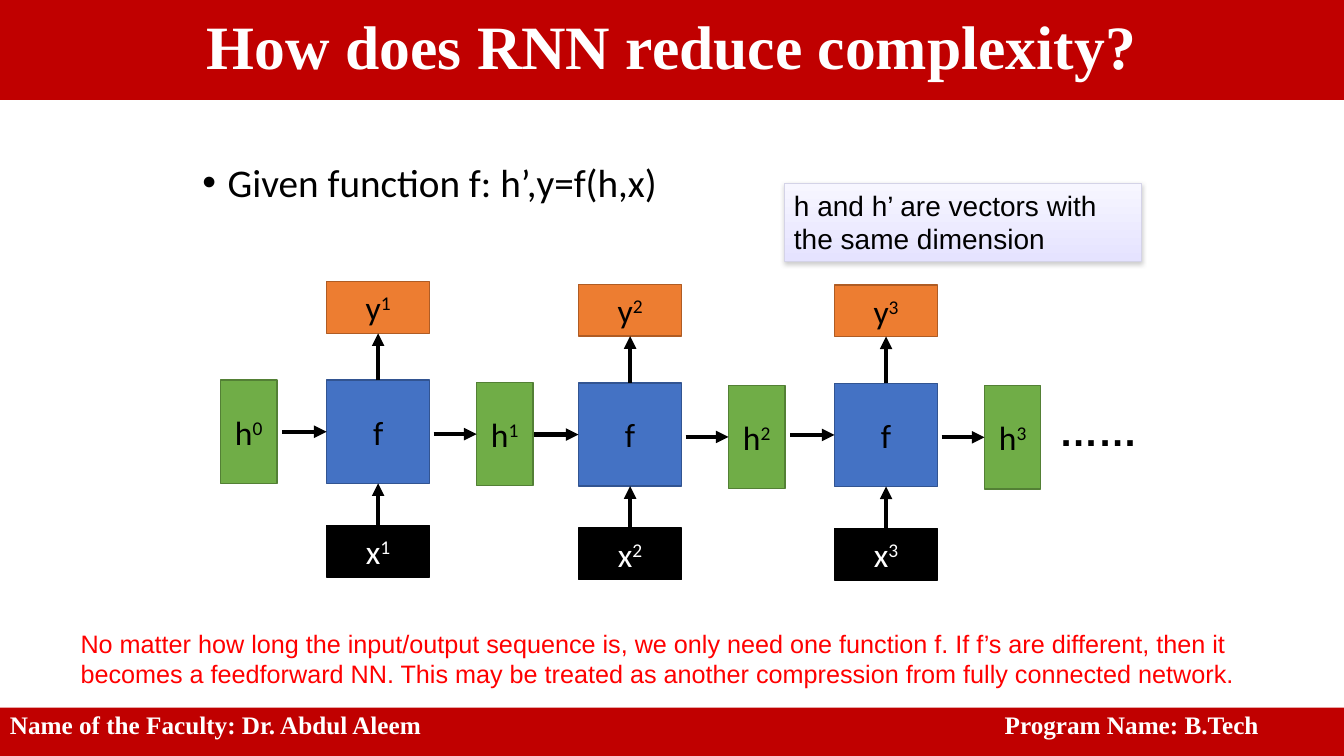
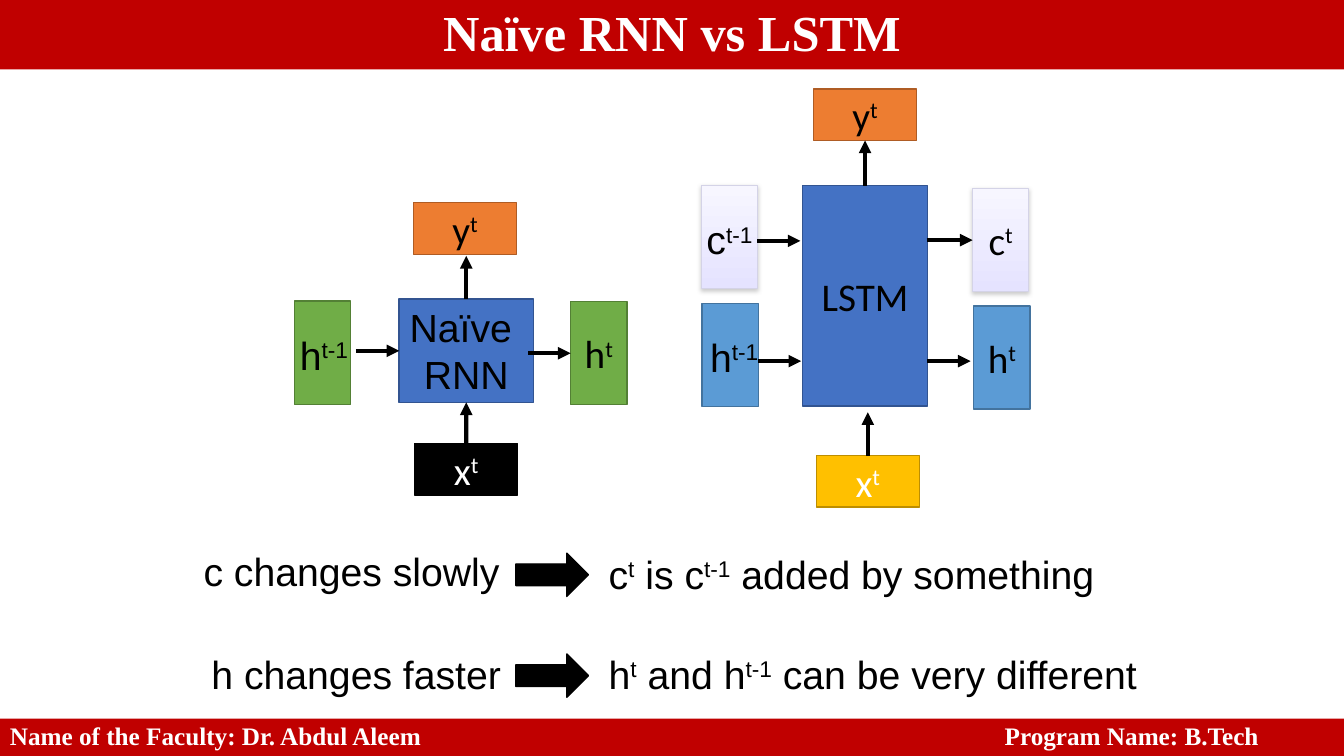
import pptx
import pptx.dml.color
import pptx.enum.shapes
import pptx.enum.text
import pptx.oxml
import pptx.oxml.ns
import pptx.util

Cm = pptx.util.Cm
Pt = pptx.util.Pt
RGB = pptx.dml.color.RGBColor
Align = pptx.enum.text.PP_ALIGN
Anchor = pptx.enum.text.MSO_ANCHOR
Shape = pptx.enum.shapes.MSO_SHAPE

# Colours
BLACK = RGB(0x00, 0x00, 0x00)
WHITE = RGB(0xFF, 0xFF, 0xFF)
BAND = RGB(0xC0, 0x00, 0x00)
RED = RGB(0xFF, 0x00, 0x00)
PALE = RGB(0xF7, 0xF6, 0xFF)
LILAC = RGB(0xE5, 0xE3, 0xFF)
EDGE = RGB(0xD4, 0xD3, 0xE7)

# Box styles: fill, border
BLUE = (RGB(0x44, 0x72, 0xC4), RGB(0x32, 0x54, 0x91))
GREEN = (RGB(0x70, 0xAD, 0x47), RGB(0x53, 0x80, 0x35))
ORANGE = (RGB(0xED, 0x7D, 0x31), RGB(0xAF, 0x5C, 0x24))
GOLD = (RGB(0xFF, 0xC0, 0x00), RGB(0xBD, 0x8E, 0x00))
SKY = (RGB(0x5B, 0x9B, 0xD5), RGB(0x43, 0x73, 0x9E))
DARK = (BLACK, BLACK)

# Connection sites
TOP, LEFT, FOOT, RIGHT = range(4)

# Sizes in centimetres
WIDE, HIGH = 33.87, 19.05
SIDE = 2.6    # square cell, and height of a state box
SLIM = 1.42   # width of a state box
FLAT = 1.3    # height of an input or output box
MID = SIDE / 2


def node(tag, **attrs):
    item = pptx.oxml.parse_xml(
        "<a:%s %s/>" % (tag, pptx.oxml.ns.nsdecls("a")))
    for name, value in attrs.items():
        item.set(name, str(value))
    return item


class Deck:
    def __init__(self):
        self.prs = pptx.Presentation()
        self.prs.slide_width = Cm(WIDE)
        self.prs.slide_height = Cm(HIGH)
        self.slide = None

    def start(self, title, size, head, foot):
        """Add a slide with its title band and footer band (band heights)."""
        self.slide = self.prs.slides.add_slide(self.prs.slide_layouts[5])
        bar = self.slide.shapes.title
        bar.left, bar.top, bar.width, bar.height = 0, 0, Cm(WIDE), Cm(head)
        bar.fill.solid()
        bar.fill.fore_color.rgb = BAND
        self.label(bar, title, size, "Times New Roman", WHITE, True,
                   Align.CENTER, Anchor.MIDDLE, 0.9)
        bar = self.shape(Shape.RECTANGLE, 0, HIGH - foot, WIDE, foot,
                         (BAND, None))
        stops = node("tabLst")
        stops.append(node("tab", pos=Cm(25.07), algn="l"))
        bar.text_frame.paragraphs[0]._p.get_or_add_pPr().append(stops)
        self.label(bar, "Name of the Faculty: Dr. Abdul Aleem\t"
                   "Program Name: B.Tech", 18, "Times New Roman", WHITE,
                   True, space=0.9)

    def label(self, shape, text, size, font, colour=BLACK, bold=False,
              align=Align.LEFT, anchor=Anchor.TOP, space=None, wrap=True):
        """Fill a shape with text; ^ switches superscript on and off."""
        frame = shape.text_frame
        frame.auto_size = pptx.enum.text.MSO_AUTO_SIZE.NONE
        frame.word_wrap = wrap
        frame.vertical_anchor = anchor
        for row, line in enumerate(text.split("\n")):
            para = frame.add_paragraph() if row else frame.paragraphs[0]
            para.alignment = align
            if space:
                para.line_spacing = space
            for part, words in enumerate(line.split("^")):
                if not words:
                    continue
                run = para.add_run()
                run.text = words
                run.font.size = Pt(size)
                run.font.name = font
                run.font.bold = bold
                run.font.color.rgb = colour
                if part % 2:
                    run._r.get_or_add_rPr().set("baseline", "30000")

    def shape(self, kind, x, y, w, h, style):
        item = self.slide.shapes.add_shape(kind, Cm(x), Cm(y), Cm(w), Cm(h))
        item.shadow.inherit = False
        fill, edge = style
        item.fill.solid()
        item.fill.fore_color.rgb = fill
        if edge is None:
            item.line.fill.background()
        else:
            item.line.color.rgb = edge
            item.line.width = Pt(1)
        return item

    def box(self, x, y, w, h, style, text="", size=28, font="Calibri",
            colour=BLACK):
        item = self.shape(Shape.RECTANGLE, x, y, w, h, style)
        if text:
            self.label(item, text, size, font, colour, False,
                       Align.CENTER, Anchor.MIDDLE)
        return item

    def card(self, x, y, w, h, text=""):
        """A pale gradient box with a soft shadow."""
        item = self.box(x, y, w, h, (PALE, EDGE), text)
        item.line.width = Pt(0.75)
        item.fill.gradient()
        item.fill.gradient_angle = 270
        for stop, tone, place in zip(item.fill.gradient_stops,
                                     (PALE, LILAC), (0, 1)):
            stop.color.rgb = tone
            stop.position = place
        shade = node("outerShdw", blurRad=Pt(3.1), dist=Pt(1.6),
                     dir=5400000, algn="t", rotWithShape=0)
        tone = node("srgbClr", val="808080")
        tone.append(node("alpha", val=38000))
        shade.append(tone)
        item._element.spPr.find(pptx.oxml.ns.qn("a:effectLst")).append(shade)
        return item

    def note(self, x, y, w, h, text, size=28, font="Arial", **look):
        item = self.slide.shapes.add_textbox(Cm(x), Cm(y), Cm(w), Cm(h))
        self.label(item, text, size, font, **look)
        return item

    def bullet(self, x, y, w, h, text):
        item = self.note(x, y, w, h, text, font="Calibri", space=0.9)
        props = item.text_frame.paragraphs[0]._p.get_or_add_pPr()
        props.set("marL", str(Cm(0.64)))
        props.set("indent", str(-Cm(0.64)))
        props.append(node("buFont", typeface="Arial"))
        props.append(node("buChar", char="•"))

    def arrow(self, tail, tip):
        """Each end is a point (x, y) or a joint (shape, site)."""
        line = self.slide.shapes.add_connector(
            pptx.enum.shapes.MSO_CONNECTOR.STRAIGHT, 0, 0, 0, 0)
        if isinstance(tail[0], (int, float)):
            line.begin_x, line.begin_y = Cm(tail[0]), Cm(tail[1])
        else:
            line.begin_connect(*tail)
        if isinstance(tip[0], (int, float)):
            line.end_x, line.end_y = Cm(tip[0]), Cm(tip[1])
        else:
            line.end_connect(*tip)
        line.line.color.rgb = BLACK
        line.line.width = Pt(3)
        line.line._get_or_add_ln().append(node("tailEnd", type="triangle"))
        line._element.spPr.append(node("effectLst"))


def chain(deck):
    deck.start("How does RNN reduce complexity?", 44, 2.52, 1.22)
    deck.bullet(4.85, 3.99, 13, 1.4, "Given function f: h’,y=f(h,x)")
    memo = deck.card(19.76, 4.62, 9.02, 1.96)
    deck.label(memo, "h and h’ are vectors with the same dimension",
               20, "Arial")

    # Unrolled cells
    deck.box(5.56, 9.58, SLIM, SIDE, GREEN, "h^0", 24)
    for step, (x, y) in enumerate(
            [(8.23, 9.58), (14.58, 9.65), (21.03, 9.66)], 1):
        cell = deck.box(x, y, SIDE, SIDE, BLUE, "f", 24)
        state = deck.box(x + 3.78, y + 0.06, SLIM, SIDE, GREEN,
                         f"h^{step}", 24)
        out = deck.box(x, y - 2.48, SIDE, FLAT, ORANGE, f"y^{step}", 24)
        feed = deck.box(x, y + 3.66, SIDE, FLAT, DARK, f"x^{step}", 24,
                        colour=WHITE)
        deck.arrow((x - 1.12, y + MID), (cell, LEFT))
        deck.arrow((x + 2.7, y + 0.06 + MID), (state, LEFT))
        deck.arrow((cell, TOP), (out, FOOT))
        deck.arrow((feed, TOP), (cell, FOOT))
    deck.note(26.44, 10.13, 2.6, 1.45, "……", bold=True)

    # Remark
    deck.note(1.78, 15.7, 31.88, 1.8,
              "No matter how long the input/output sequence is, we only need "
              "one function f. If f’s are different, then it becomes a "
              "feedforward NN. This may be treated as another compression "
              "from fully connected network.", 18, colour=RED)


def gates(deck):
    deck.start("Naïve RNN vs LSTM", 36, 1.75, 0.94)

    # Naïve cell
    deck.box(7.42, 7.59, SLIM, SIDE, GREEN)
    cell = deck.box(10.06, 7.54, 3.38, SIDE, BLUE, "Naïve \nRNN",
                    font="Arial")
    state = deck.box(14.38, 7.6, SLIM, SIDE, GREEN, "h^t")
    deck.box(10.42, 5.11, SIDE, FLAT, ORANGE, "y^t")
    feed = deck.box(10.45, 11.18, SIDE, FLAT, DARK, "x^t", colour=WHITE)
    deck.arrow((8.97, 7.54 + MID), (cell, LEFT))
    deck.arrow((13.31, 7.6 + MID), (state, LEFT))
    deck.arrow((cell, TOP), (11.75, 6.45))
    deck.arrow((feed, TOP), (cell, FOOT))

    # LSTM cell
    cell = deck.box(20.22, 4.68, 3.16, 5.55, BLUE, "LSTM")
    deck.card(17.67, 4.67, SLIM, SIDE)
    deck.box(17.69, 7.65, SLIM, SIDE, SKY)
    carry = deck.card(24.51, 4.75, SLIM, SIDE, "c^t")
    deck.box(24.54, 7.71, SLIM, SIDE, SKY, "h^t")
    out = deck.box(20.5, 2.24, SIDE, FLAT, ORANGE, "y^t")
    feed = deck.box(20.57, 11.48, SIDE, FLAT, GOLD, "x^t", colour=WHITE)
    deck.arrow((cell, TOP), (out, FOOT))
    deck.arrow((feed, TOP), (20.57 + MID, 10.39))
    deck.arrow((19.08, 6.07), (20.17, 6.07))
    deck.arrow((23.35, 4.75 + MID), (carry, LEFT))
    for x in (19.1, 23.37):
        deck.arrow((x, 9.1), (x + 1.09, 9.1))

    # Earlier states, wider than their boxes
    for x, y, text in [(7.24, 8.23, "h^t-1"), (17.58, 8.28, "h^t-1"),
                       (17.46, 5.31, "c^t-1")]:
        deck.note(x, y, 1.85, 1.45, text, align=Align.CENTER, wrap=False)

    # Findings
    for x, y, cause, drop, effect in [
            (4.88, 13.67, "c changes slowly", 13.74,
             "c^t^ is c^t-1^ added by something"),
            (5.08, 16.26, "h changes faster", 16.26,
             "h^t^ and h^t-1^ can be very different")]:
        deck.note(x, y, 8.3, 1.45, cause)
        deck.note(15.09, drop, 14.6, 1.45, effect)
    for y in (13.94, 16.48):
        deck.shape(Shape.RIGHT_ARROW, 13, y, 1.83, 1.09, DARK)


def main():
    deck = Deck()
    chain(deck)
    gates(deck)
    deck.prs.save("out.pptx")


if __name__ == "__main__":
    main()
